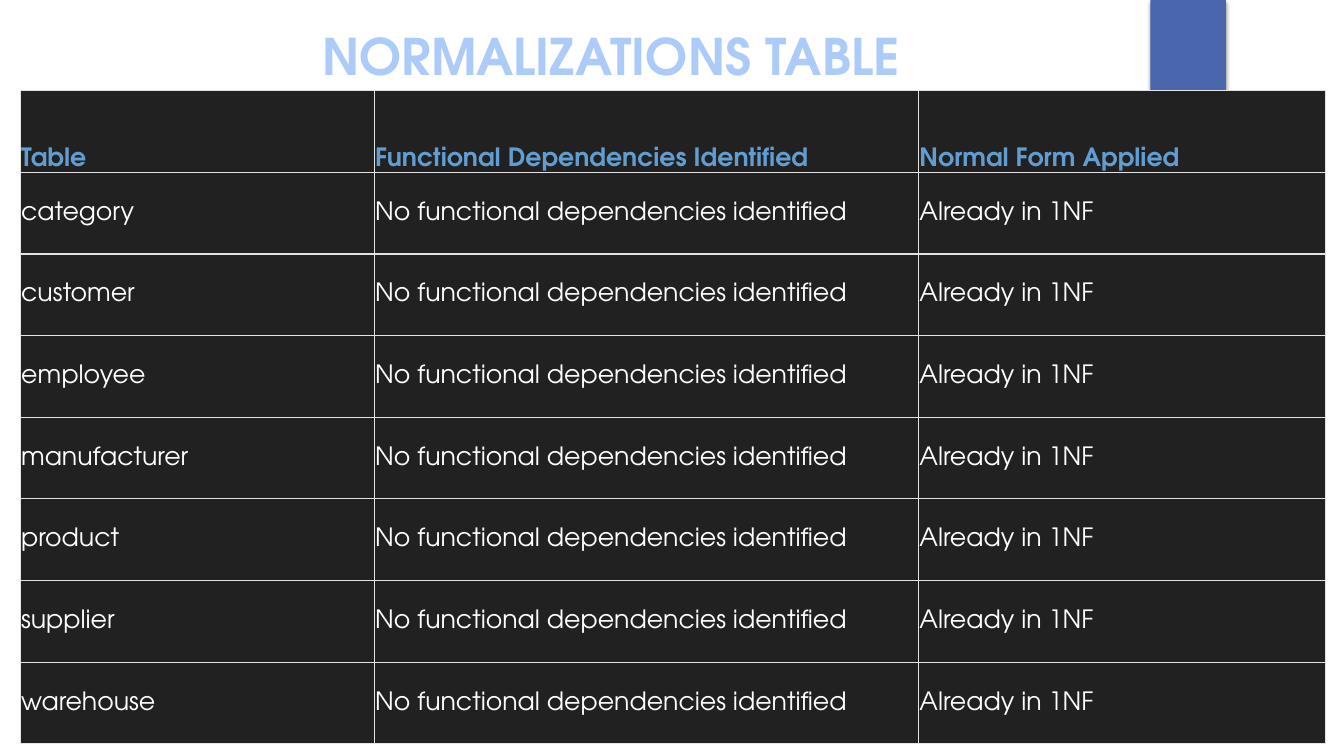
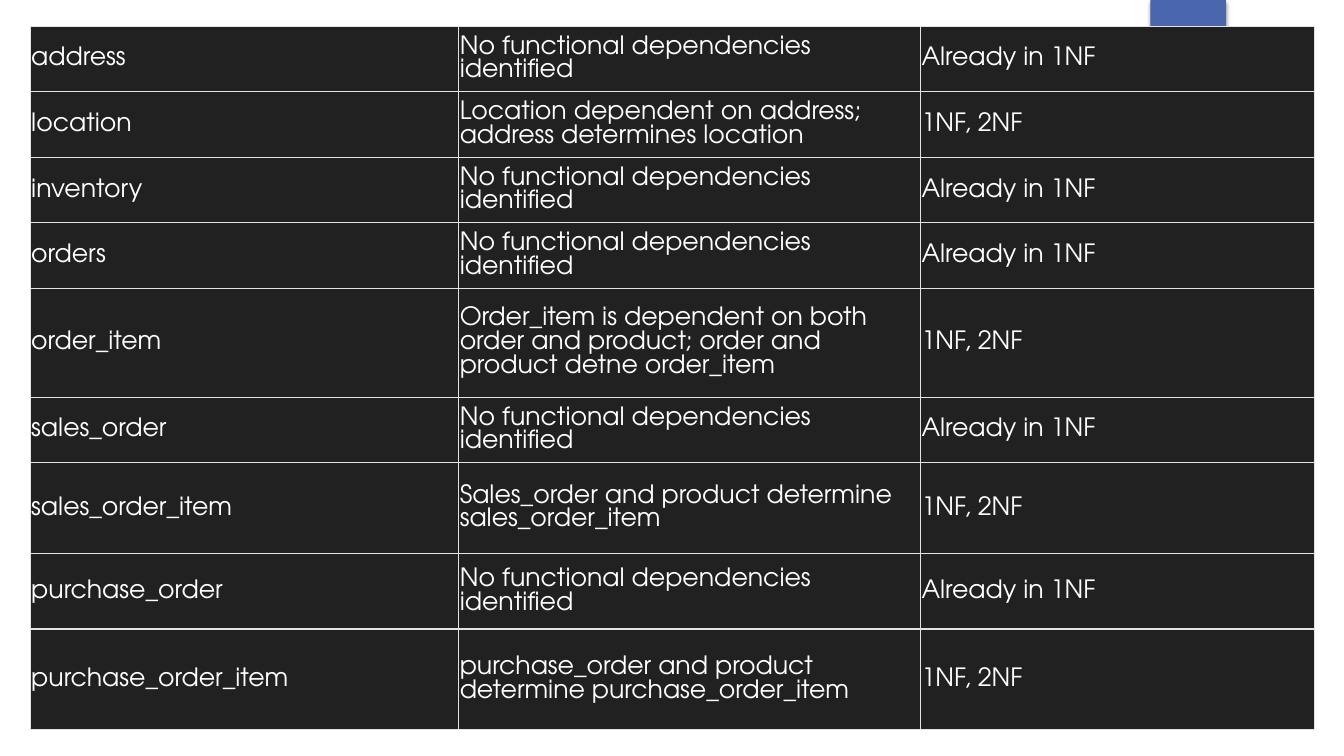
from lxml import etree
from pptx import Presentation
from pptx.dml.color import RGBColor
from pptx.enum.shapes import MSO_SHAPE
from pptx.enum.text import MSO_ANCHOR, MSO_AUTO_SIZE, PP_ALIGN
from pptx.oxml.ns import qn
from pptx.util import Pt

# Scale: 100 px to the inch
EMU_PER_PX = 9144
SLIDE_WIDTH, SLIDE_HEIGHT = 1333, 750

# Shared style
FONT = "TeX Gyre Adventor"
BAND_BLUE = RGBColor(0x4A, 0x66, 0xAC)
TITLE_BLUE = RGBColor(0xAC, 0xCB, 0xF9)
HEADER_BLUE = RGBColor(0x62, 0x9D, 0xD1)
CELL_DARK = RGBColor(0x21, 0x21, 0x21)
BORDER_GREY = RGBColor(0xE3, 0xE3, 0xE3)
SHADOW_BLACK = RGBColor(0, 0, 0)
WHITE = RGBColor(0xFF, 0xFF, 0xFF)
THIN, THICK = 0.5, 1

RECTANGLE = MSO_SHAPE.RECTANGLE
MIDDLE, BOTTOM = MSO_ANCHOR.MIDDLE, MSO_ANCHOR.BOTTOM
LEFT, CENTER = PP_ALIGN.LEFT, PP_ALIGN.CENTER
GROW = MSO_AUTO_SIZE.SHAPE_TO_FIT_TEXT

# Table content
HEADER = ("Table", "Functional Dependencies Identified", "Normal Form Applied")
NO_DEPENDENCIES = ("No functional dependencies identified", "Already in 1NF")
SECOND_FORM = "1NF, 2NF"
BASIC_TABLES = ("category", "customer", "employee", "manufacturer",
                "product", "supplier", "warehouse")
BASIC_ROWS = [(name, *NO_DEPENDENCIES) for name in BASIC_TABLES]
ORDER_ROWS = [
    ("address", *NO_DEPENDENCIES),
    ("location", "Location dependent on address; address determines location",
     SECOND_FORM),
    ("inventory", *NO_DEPENDENCIES),
    ("orders", *NO_DEPENDENCIES),
    ("order_item", "Order_item is dependent on both order and product; "
     "order and product detne order_item", SECOND_FORM),
    ("sales_order", *NO_DEPENDENCIES),
    ("sales_order_item", "Sales_order and product determine sales_order_item",
     SECOND_FORM),
    ("purchase_order", *NO_DEPENDENCIES),
    ("purchase_order_item",
     "purchase_order and product determine purchase_order_item", SECOND_FORM),
]


def px(length):
    return length * EMU_PER_PX


def write_text(frame, text, size, color, line_points, bold=False, align=LEFT):
    paragraph = frame.paragraphs[0]
    paragraph.alignment = align
    paragraph.line_spacing = Pt(line_points)
    run = paragraph.add_run()
    run.text = text
    run.font.name = FONT
    run.font.size = Pt(size)
    run.font.bold = bold
    run.font.color.rgb = color


def add_color(parent, color):
    return etree.SubElement(parent, qn("a:srgbClr"), val=str(color))


def add_band(slide):
    """Blue tab at the top edge with a soft shadow below it."""
    band = slide.shapes.add_shape(RECTANGLE, px(1141), 0, px(75), px(125))
    band.fill.solid()
    band.fill.fore_color.rgb = BAND_BLUE
    band.line.fill.background()
    band.shadow.inherit = False
    effects = band.element.spPr.find(qn("a:effectLst"))
    shadow = etree.SubElement(
        effects, qn("a:outerShdw"), blurRad=str(Pt(3)), dist=str(Pt(2)),
        dir="5400000", rotWithShape="0")
    etree.SubElement(add_color(shadow, SHADOW_BLACK), qn("a:alpha"), val="45000")


def add_title(slide, text):
    box = slide.shapes.add_textbox(px(175), px(19), px(862), px(71))
    frame = box.text_frame
    frame.word_wrap = True
    frame.auto_size = GROW
    write_text(frame, text, 36, TITLE_BLUE, 44, bold=True, align=CENTER)


def set_borders(cell, top, bottom):
    properties = cell._tc.get_or_add_tcPr()
    sides = (("a:lnL", THIN), ("a:lnR", THIN), ("a:lnT", top), ("a:lnB", bottom))
    for position, (tag, points) in enumerate(sides):
        line = etree.Element(qn(tag), w=str(Pt(points)))
        add_color(etree.SubElement(line, qn("a:solidFill")), BORDER_GREY)
        properties.insert(position, line)


def fill_cell(cell, text, is_header, top, bottom):
    cell.fill.solid()
    cell.fill.fore_color.rgb = CELL_DARK
    cell.margin_left = cell.margin_right = px(1)
    cell.margin_top = cell.margin_bottom = px(1)
    cell.vertical_anchor = BOTTOM if is_header else MIDDLE
    color = HEADER_BLUE if is_header else WHITE
    write_text(cell.text_frame, text, 18, color, 17, bold=is_header)
    set_borders(cell, top, bottom)


def add_dependency_table(slide, left, top, widths, heights, rows,
                         has_header=False, thin_end=False):
    table = slide.shapes.add_table(
        len(rows), len(widths), px(left), px(top),
        px(sum(widths)), px(sum(heights))).table
    table.first_row = table.horz_banding = False
    for column, width in zip(table.columns, widths):
        column.width = px(width)
    for index, (row, height, texts) in enumerate(zip(table.rows, heights, rows)):
        row.height = px(height)
        is_header = has_header and index == 0
        is_end = thin_end and index == len(rows) - 1
        for cell, text in zip(row.cells, texts):
            fill_cell(cell, text, is_header,
                      top=THIN if is_header else THICK,
                      bottom=THIN if is_end else THICK)


def add_slide(presentation):
    slide = presentation.slides.add_slide(presentation.slide_layouts[6])
    add_band(slide)
    return slide


def main():
    presentation = Presentation()
    presentation.slide_width = px(SLIDE_WIDTH)
    presentation.slide_height = px(SLIDE_HEIGHT)

    # Basic tables
    slide = add_slide(presentation)
    add_title(slide, "NORMALIZATIONS TABLE")
    rows = [HEADER, *BASIC_ROWS]
    add_dependency_table(slide, 20, 90, (351, 540, 403), [81] * len(rows), rows,
                         has_header=True)

    # Location and order tables
    slide = add_slide(presentation)
    heights = (65, 65, 65, 65, 108, 65, 90, 75, 100)
    add_dependency_table(slide, 30, 26, (425, 458, 391), heights, ORDER_ROWS,
                         thin_end=True)

    presentation.save("out.pptx")


if __name__ == "__main__":
    main()
